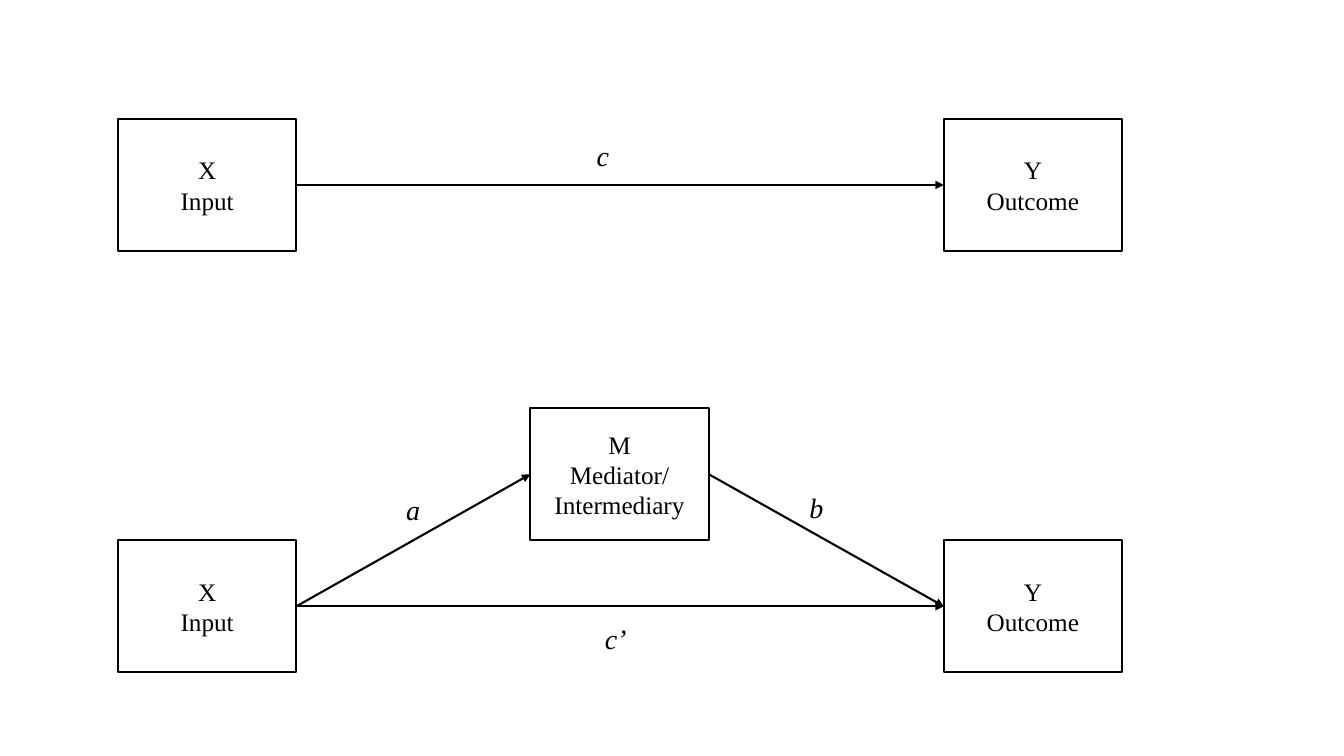
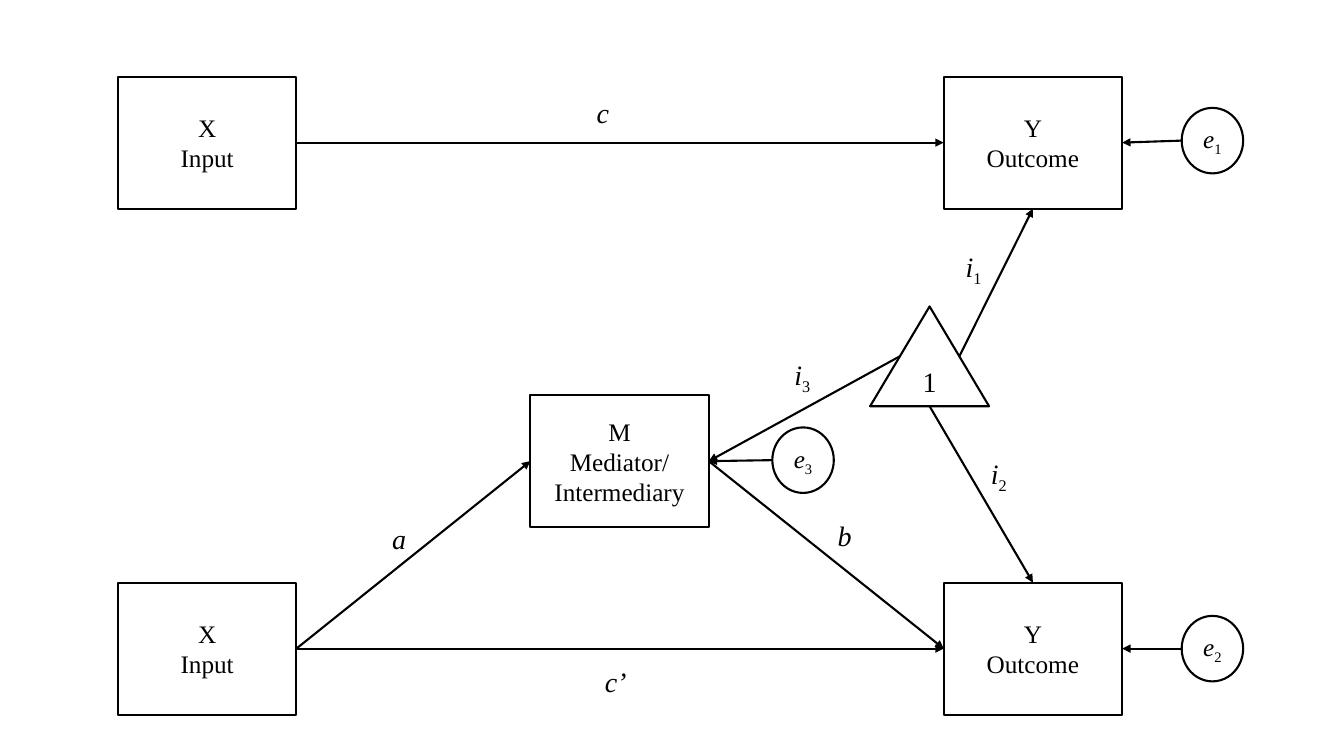
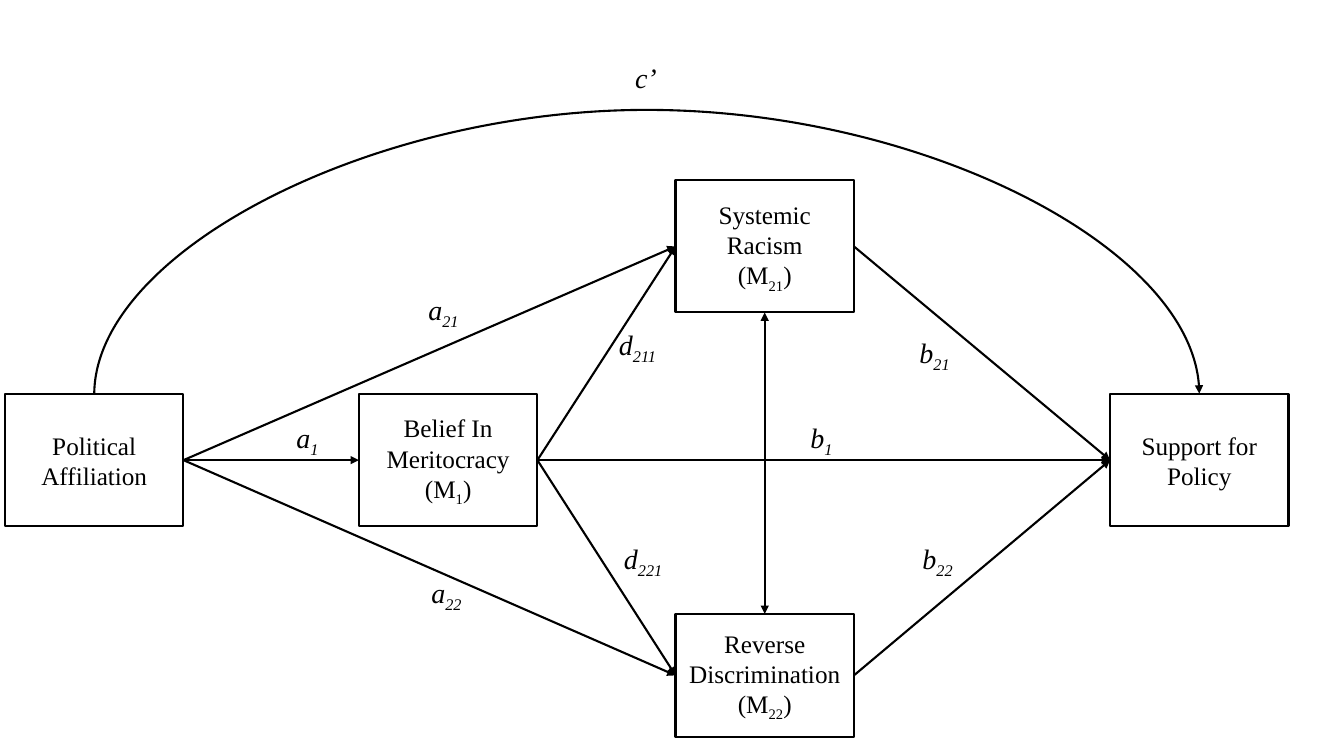
import pptx
import pptx.util
import pptx.dml.color
import pptx.enum.shapes
import pptx.enum.text
import pptx.oxml.ns
import lxml.etree

Inches = pptx.util.Inches
Pt = pptx.util.Pt
Kind = pptx.enum.shapes.MSO_SHAPE
Route = pptx.enum.shapes.MSO_CONNECTOR
qn = pptx.oxml.ns.qn

BLACK = pptx.dml.color.RGBColor(0, 0, 0)
WHITE = pptx.dml.color.RGBColor(255, 255, 255)
FONT = "Times New Roman"
LINE_WIDTH = Pt(1.5)
BOX_WIDTH, BOX_HEIGHT = 1.77, 1.31
LABEL_HEIGHT = 0.44
TOP, LEFT, BOTTOM, RIGHT = (0.5, 0), (0, 0.5), (0.5, 1), (1, 0.5)
SITES = {TOP: 0, LEFT: 1, BOTTOM: 2, RIGHT: 3}


def add_text(page, kind, place, text, size=18, italic=False, italic_sub=False):
    """Text between underscores is set as subscript; kind None gives a plain label."""
    lengths = [Inches(value) for value in place]
    if kind is None:
        box = page.shapes.add_textbox(*lengths)
    else:
        box = page.shapes.add_shape(kind, *lengths)
        box.shadow.inherit = False
        box.fill.solid()
        box.fill.fore_color.rgb = WHITE
        box.line.color.rgb = BLACK
        box.line.width = LINE_WIDTH
        box.text_frame.vertical_anchor = pptx.enum.text.MSO_ANCHOR.MIDDLE
    frame = box.text_frame
    frame.word_wrap = True
    frame.text = text
    for para in frame.paragraphs:
        if kind is not None:
            para.alignment = pptx.enum.text.PP_ALIGN.CENTER
        parts = para.text.split("_")
        para.text = parts[0]
        for span in para.runs:
            span.font.italic = italic
        for index, part in enumerate(parts[1:]):
            span = para.add_run()
            span.text = part
            span.font.italic = italic_sub
            if index % 2 == 0:
                span._r.get_or_add_rPr().set("baseline", "-25000")
        for span in para.runs:
            span.font.name = FONT
            span.font.size = Pt(size)
            span.font.color.rgb = BLACK
    return box


def style_arrow(arrow, ends=("tailEnd",)):
    arrow.line.color.rgb = BLACK
    arrow.line.width = LINE_WIDTH
    outline = arrow.line._get_or_add_ln()
    for end in ends:
        lxml.etree.SubElement(outline, qn("a:" + end), type="triangle")
    lxml.etree.SubElement(arrow._element.spPr, qn("a:effectLst"))


deck = pptx.Presentation()
deck.slide_width = Inches(13.33)
deck.slide_height = Inches(7.5)
pages = [deck.slides.add_slide(deck.slide_layouts[6]) for _ in range(3)]
links = []

mediations = [
    (pages[0], 1.18, 4.05, 5.36, (3.93, 4.84), (7.93, 4.82)),
    (pages[1], 0.76, 3.92, 5.78, (3.79, 5.12), (8.21, 5.09)),
]
for page, upper, middle, lower, a_place, b_place in mediations:
    boxes = [
        add_text(page, Kind.RECTANGLE, (left, top, BOX_WIDTH, BOX_HEIGHT), text)
        for left, top, text in [
            (1.17, upper, "X\nInput"),
            (9.36, upper, "Y\nOutcome"),
            (5.26, middle, "M\nMediator/\vIntermediary"),
            (1.17, lower, "X\nInput"),
            (9.36, lower, "Y\nOutcome"),
        ]
    ]
    total_input, total_outcome, mediator, direct_input, direct_outcome = boxes
    links += [
        (page, total_input, RIGHT, total_outcome, LEFT),
        (page, mediator, RIGHT, direct_outcome, LEFT),
        (page, direct_input, RIGHT, mediator, LEFT),
        (page, direct_input, RIGHT, direct_outcome, LEFT),
    ]
    for text, left, top, width in [
        ("c", 5.82, upper + 0.14, 0.34),
        ("a", *a_place, 0.34),
        ("b", *b_place, 0.34),
        ("c’", 5.9, lower + 0.76, 0.43),
    ]:
        add_text(page, None, (left, top, width, LABEL_HEIGHT), text, 20, True)

page = pages[1]
for text, left, top, target in [
    ("e_1", 11.72, 1.07, total_outcome),
    ("e_2", 11.72, 6.11, direct_outcome),
    ("e_3", 7.66, 4.24, mediator),
]:
    error = add_text(page, Kind.OVAL, (left, top, 0.61, 0.65), text, 18, True)
    links.append((page, error, LEFT, target, RIGHT))

constant = add_text(page, Kind.ISOSCELES_TRIANGLE, (8.63, 3.04, 1.18, 0.99), "1", 20)
for text, left, top, spot, target, target_spot in [
    ("i_1", 9.48, 2.43, (0.75, 0.5), total_outcome, BOTTOM),
    ("i_2", 9.73, 4.48, BOTTOM, direct_outcome, TOP),
    ("i_3", 7.78, 3.5, (0.25, 0.5), mediator, RIGHT),
]:
    add_text(page, None, (left, top, 0.43, LABEL_HEIGHT), text, 20, True)
    links.append((page, constant, spot, target, target_spot))

page = pages[2]
affiliation, belief, policy, racism, reverse = [
    add_text(page, Kind.RECTANGLE, (left, top, BOX_WIDTH, height), text)
    for left, top, height, text in [
        (0.05, 3.91, BOX_HEIGHT, "Political Affiliation"),
        (3.56, 3.91, BOX_HEIGHT, "Belief In Meritocracy\n(M_1_)"),
        (11.01, 3.91, BOX_HEIGHT, "Support for Policy"),
        (6.7, 1.79, BOX_HEIGHT, "Systemic Racism\n(M_21_)"),
        (6.7, 6.09, 1.22, "Reverse Discrimination\n(M_22_)"),
    ]
]
for begin, end in [
    (affiliation, belief), (affiliation, racism), (affiliation, reverse),
    (belief, racism), (belief, reverse), (belief, policy),
    (racism, policy), (reverse, policy),
]:
    links.append((page, begin, RIGHT, end, LEFT))
links.append((page, racism, BOTTOM, reverse, TOP))

for text, left, top, width in [
    ("c’", 6.2, 0.55, 0.43),
    ("a_1", 2.84, 4.12, 0.52),
    ("a_21", 4.15, 2.85, 0.57),
    ("a_22", 4.18, 5.66, 0.52),
    ("b_1", 7.94, 4.12, 0.53),
    ("b_21", 9.02, 3.28, 0.61),
    ("b_22", 9.05, 5.32, 0.55),
    ("d_211", 6.04, 3.2, 0.76),
    ("d_221", 6.09, 5.32, 0.65),
]:
    add_text(page, None, (left, top, width, LABEL_HEIGHT), text, 20, True, True)

for page, begin, begin_spot, end, end_spot in links:
    points = [
        (int(box.left + box.width * across), int(box.top + box.height * down))
        for box, (across, down) in [(begin, begin_spot), (end, end_spot)]
    ]
    arrow = page.shapes.add_connector(Route.STRAIGHT, *points[0], *points[1])
    if begin.auto_shape_type == Kind.RECTANGLE:
        arrow.begin_connect(begin, SITES[begin_spot])
    arrow.end_connect(end, SITES[end_spot])
    two_way = begin is racism and end is reverse
    style_arrow(arrow, ("headEnd", "tailEnd") if two_way else ("tailEnd",))

arch = pages[2].shapes.add_connector(
    Route.CURVE, Inches(6.42), Inches(9.39), Inches(6.41), Inches(-1.57)
)
style_arrow(arch)
arch._element.spPr.find(qn("a:xfrm")).set("rot", "5400000")
geometry = arch._element.spPr.find(qn("a:prstGeom"))
guides = geometry.find(qn("a:avLst"))
if guides is None:
    guides = lxml.etree.SubElement(geometry, qn("a:avLst"))
lxml.etree.SubElement(guides, qn("a:gd"), name="adj1", fmla="val 28700000")

deck.save("out.pptx")
